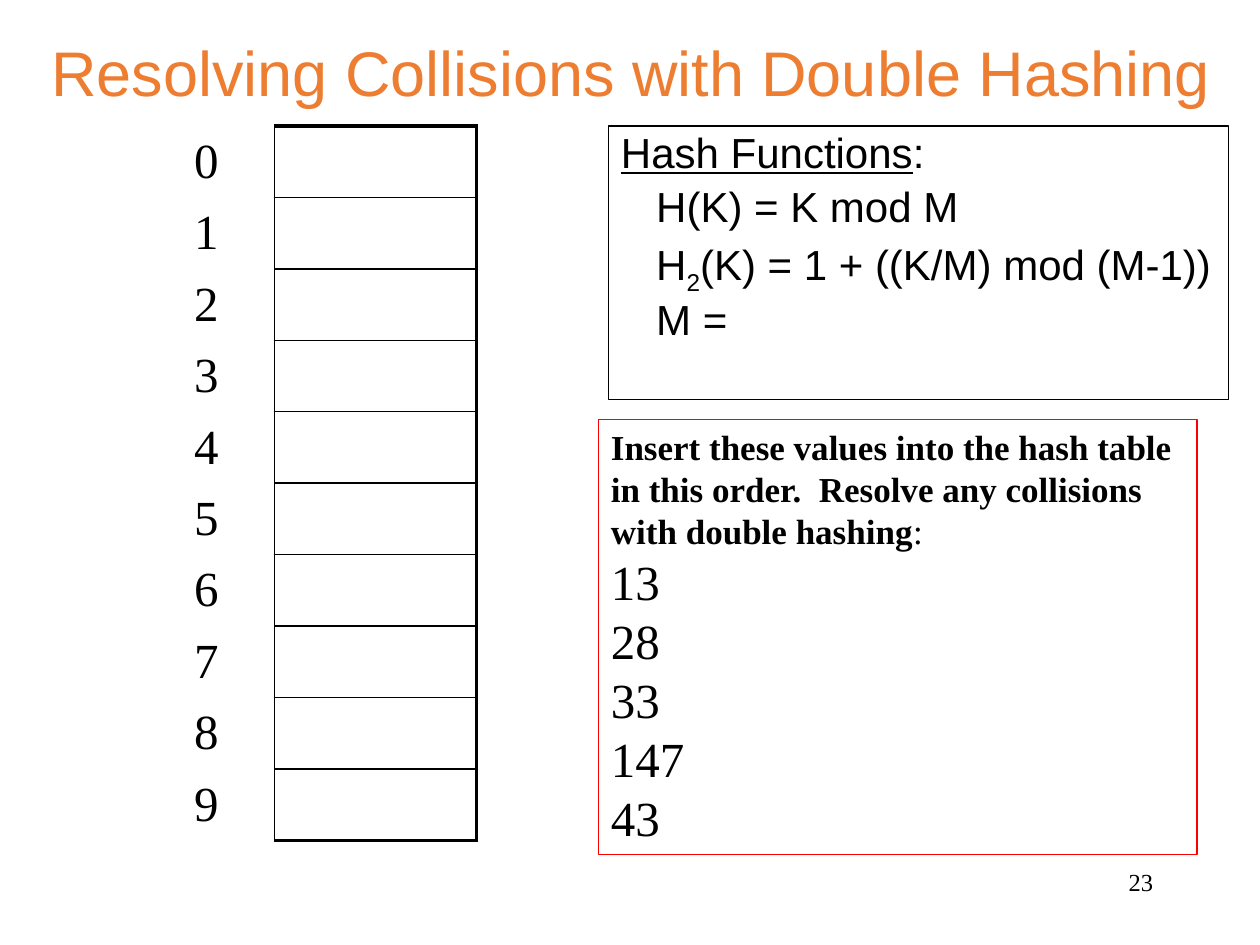
from dataclasses import dataclass

from lxml.etree import SubElement
from pptx import Presentation
from pptx.dml.color import RGBColor
from pptx.enum.shapes import MSO_SHAPE
from pptx.enum.text import MSO_ANCHOR, PP_ALIGN
from pptx.oxml.ns import qn
from pptx.util import Inches, Pt


@dataclass(frozen=True)
class Theme:
    ink: str = "000000"
    accent: str = "ED7D31"
    alert: str = "FF0000"
    sans: str = "Arial"
    serif: str = "Times New Roman"
    title: int = 36
    value: int = 28
    formula: int = 24
    task: int = 20
    number: int = 14
    outline: float = 0.75
    thin: float = 1
    thick: float = 2.25


THEME = Theme()


def write(frame, runs, size, font=THEME.serif, color=THEME.ink, align=PP_ALIGN.LEFT,
          anchor=MSO_ANCHOR.TOP, indent=0, spacing=1.0, before=0, new=False):
    """Write one paragraph; runs is a text or a list of (text, style) pairs."""
    frame.word_wrap = True
    frame.vertical_anchor = anchor
    paragraph = frame.add_paragraph() if new else frame.paragraphs[0]
    paragraph.alignment = align
    paragraph.line_spacing = spacing
    paragraph.space_before = Pt(before)
    if indent:
        paragraph._p.get_or_add_pPr().set("marL", str(Inches(indent)))
    for text, style in [(runs, "")] if isinstance(runs, str) else runs:
        run = paragraph.add_run()
        run.text = text
        run.font.size = Pt(size)
        run.font.name = font
        run.font.color.rgb = RGBColor.from_string(color)
        run.font.bold = style == "bold"
        run.font.underline = style == "underline"
        if style == "subscript":
            run.font._element.set("baseline", "-25000")


def set_borders(cell, **widths):
    """Draw the named sides in ink and leave the other sides without a line."""
    properties = cell._tc.get_or_add_tcPr()
    for side in ("L", "R", "T", "B"):
        width = widths.get(side, 0)
        line = SubElement(properties, qn(f"a:ln{side}"), w=str(Pt(width)))
        if width:
            fill = SubElement(line, qn("a:solidFill"))
            SubElement(fill, qn("a:srgbClr"), val=THEME.ink)
        else:
            SubElement(line, qn("a:noFill"))


prs = Presentation()
prs.slide_width, prs.slide_height = Inches(10), Inches(7.5)
slide = prs.slides.add_slide(prs.slide_layouts[5])

# Title
title = slide.shapes.title
title.left, title.top = Inches(0.17), Inches(0.19)
title.width, title.height = Inches(9.67), Inches(0.75)
write(title.text_frame, "Resolving Collisions with Double Hashing", THEME.title,
      font=THEME.sans, color=THEME.accent, align=PP_ALIGN.CENTER, anchor=MSO_ANCHOR.MIDDLE)

# Hash table with slot numbers
SLOTS = 10
hash_table = slide.shapes.add_table(SLOTS, 2, Inches(1.44), Inches(1),
                                    Inches(2.34), Inches(5.67)).table
hash_table.first_row = hash_table.horz_banding = False
hash_table.columns[0].width = Inches(0.74)
hash_table.columns[1].width = Inches(1.6)
for slot in range(SLOTS):
    number_cell, value_cell = hash_table.cell(slot, 0), hash_table.cell(slot, 1)
    write(number_cell.text_frame, str(slot), THEME.value)
    number_cell.vertical_anchor = MSO_ANCHOR.MIDDLE
    set_borders(number_cell, R=THEME.thin)
    set_borders(value_cell, L=THEME.thin, R=THEME.thick,
                T=THEME.thick if slot == 0 else THEME.thin,
                B=THEME.thick if slot == SLOTS - 1 else THEME.thin)
    for cell in (number_cell, value_cell):
        cell.fill.background()

# Outlined boxes
functions_box = slide.shapes.add_shape(MSO_SHAPE.RECTANGLE, Inches(4.83), Inches(1),
                                       Inches(4.92), Inches(2.17))
task_box = slide.shapes.add_shape(MSO_SHAPE.RECTANGLE, Inches(4.75), Inches(3.33),
                                  Inches(4.75), Inches(3.45))
for box, color in ((functions_box, THEME.ink), (task_box, THEME.alert)):
    box.shadow.inherit = False
    box.fill.background()
    box.line.color.rgb = RGBColor.from_string(color)
    box.line.width = Pt(THEME.outline)

# Hash functions
write(functions_box.text_frame, [("Hash Functions", "underline"), (":", "")],
      THEME.formula, font=THEME.sans, spacing=0.9)
formulas = [
    "H(K) = K mod M",
    [("H", ""), ("2", "subscript"), ("(K) = 1 + ((K/M) mod (M-1))", "")],
    "M =",
]
for formula in formulas:
    write(functions_box.text_frame, formula, THEME.formula, font=THEME.sans,
          indent=0.28, spacing=0.9, before=4.8, new=True)

# Values to insert
write(task_box.text_frame,
      [("Insert these values into the hash table in this order.  "
        "Resolve any collisions with double hashing", "bold"), (":", "")], THEME.task)
for key in (13, 28, 33, 147, 43):
    write(task_box.text_frame, str(key), THEME.value, new=True)

# Slide number
slide_number = slide.shapes.add_textbox(Inches(7.17), Inches(6.83), Inches(2.08), Inches(0.5))
write(slide_number.text_frame, "23", THEME.number, align=PP_ALIGN.RIGHT)

prs.save("out.pptx")
